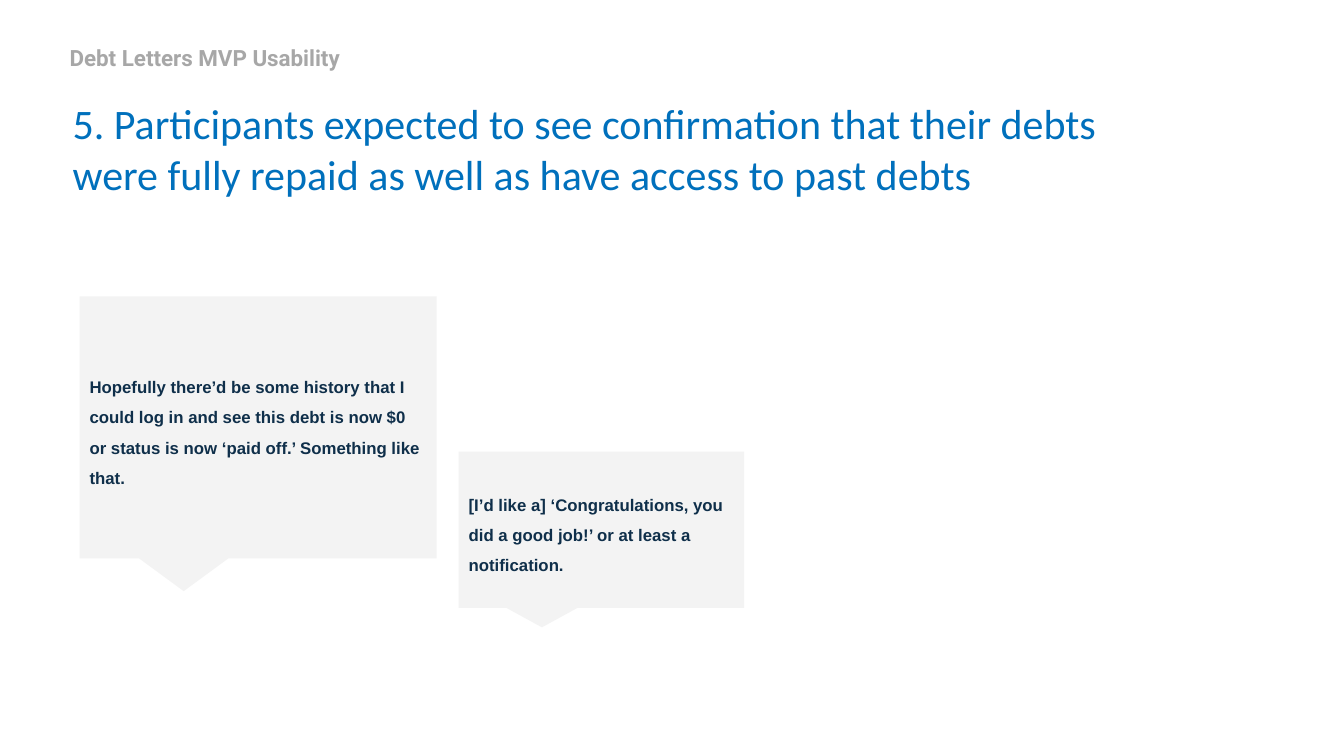
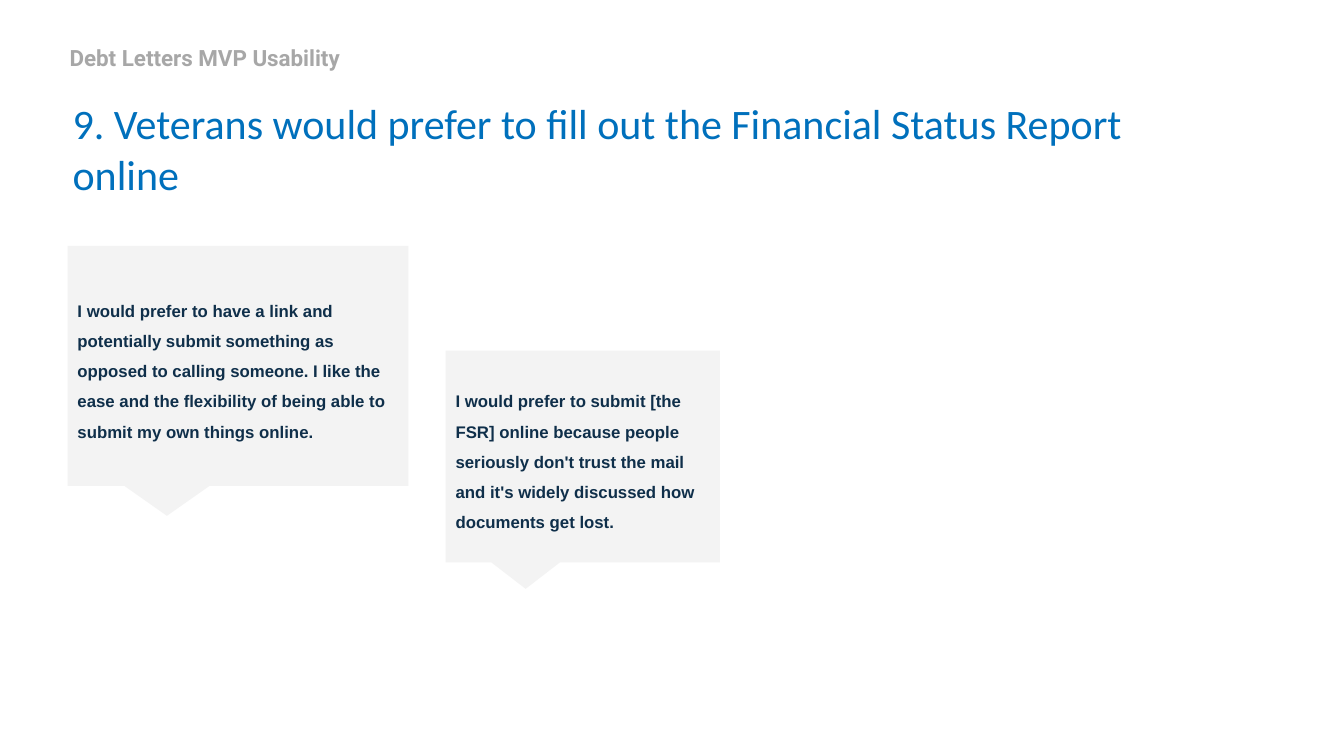
from pptx import Presentation
from pptx.dml.color import RGBColor
from pptx.enum.shapes import MSO_SHAPE
from pptx.enum.text import MSO_ANCHOR, MSO_AUTO_SIZE, PP_ALIGN
from pptx.util import Emu, Pt

EMU_PER_PX = 9144  # 100 px to the inch

BLUE = RGBColor(0x00, 0x70, 0xBC)
GREY = RGBColor(0xA7, 0xA7, 0xA7)
NAVY = RGBColor(0x0F, 0x2F, 0x4A)
PALE = RGBColor(0xF3, 0xF3, 0xF3)

TOP, MIDDLE = MSO_ANCHOR.TOP, MSO_ANCHOR.MIDDLE
LEFT = PP_ALIGN.LEFT
NO_AUTOFIT = MSO_AUTO_SIZE.NONE
CALLOUT = MSO_SHAPE.ROUNDED_RECTANGULAR_CALLOUT

TITLE_AREA = (67, 92, 1100, 135)
SECTION_AREA = (64, 35, 748, 39)
SECTION = "Debt Letters MVP Usability"

# Each slide: title, then quotes as (left, top, width, height) and text
SLIDES = [
    ("5. Participants expected to see confirmation that their debts were "
     "fully repaid as well as have access to past debts",
     [((79, 294, 354, 260),
       "Hopefully there’d be some history that I could log in and see this "
       "debt is now $0 or status is now ‘paid off.’ Something like that."),
      ((455, 448, 283, 155),
       "[I’d like a] ‘Congratulations, you did a good job!’ or at least a "
       "notification.")]),
    ("9. Veterans would prefer to fill out the Financial Status Report online",
     [((67, 244, 338, 238),
       "I would prefer to have a link and potentially submit something as "
       "opposed to calling someone. I like the ease and the flexibility of "
       "being able to submit my own things online."),
      ((442, 348, 272, 210),
       "I would prefer to submit [the FSR] online because people seriously "
       "don't trust the mail and it's widely discussed how documents get "
       "lost.")]),
]


def px(length):
    return Emu(length * EMU_PER_PX)


def place(shape, area):
    shape.left, shape.top, shape.width, shape.height = map(px, area)


def write(shape, text, font, size, color, bold=False, anchor=MIDDLE,
          inset=5, line_spacing=1.0):
    """Fill a shape with one left-aligned paragraph in the given style."""
    frame = shape.text_frame
    frame.text = text
    frame.word_wrap = True
    frame.auto_size = NO_AUTOFIT
    frame.vertical_anchor = anchor
    frame.margin_left = frame.margin_right = px(inset)
    frame.margin_top = frame.margin_bottom = px(inset)
    para = frame.paragraphs[0]
    para.alignment = LEFT
    para.line_spacing = line_spacing
    para.space_before = Pt(0)
    for span in para.runs:
        span.font.name = font
        span.font.size = Pt(size)
        span.font.bold = bold
        span.font.color.rgb = color


def add_headings(page, title):
    heading, section = page.shapes.title, page.placeholders[1]
    place(heading, TITLE_AREA)
    write(heading, title, "Calibri", 30, BLUE, anchor=TOP)
    place(section, SECTION_AREA)
    write(section, SECTION, "Roboto", 16, GREY, bold=True, line_spacing=1.2)


def add_quote(page, area, text):
    box = page.shapes.add_shape(CALLOUT, *map(px, area))
    box.adjustments[2] = 0  # square corners
    box.shadow.inherit = False
    box.fill.solid()
    box.fill.fore_color.rgb = PALE
    box.line.fill.background()
    write(box, text, "Arial", 12, NAVY, bold=True, inset=10, line_spacing=1.5)


def main():
    deck = Presentation()
    deck.slide_width, deck.slide_height = px(1333), px(750)
    for title, quotes in SLIDES:
        page = deck.slides.add_slide(deck.slide_layouts[0])
        add_headings(page, title)
        for area, text in quotes:
            add_quote(page, area, text)
    deck.save("out.pptx")


if __name__ == "__main__":
    main()
